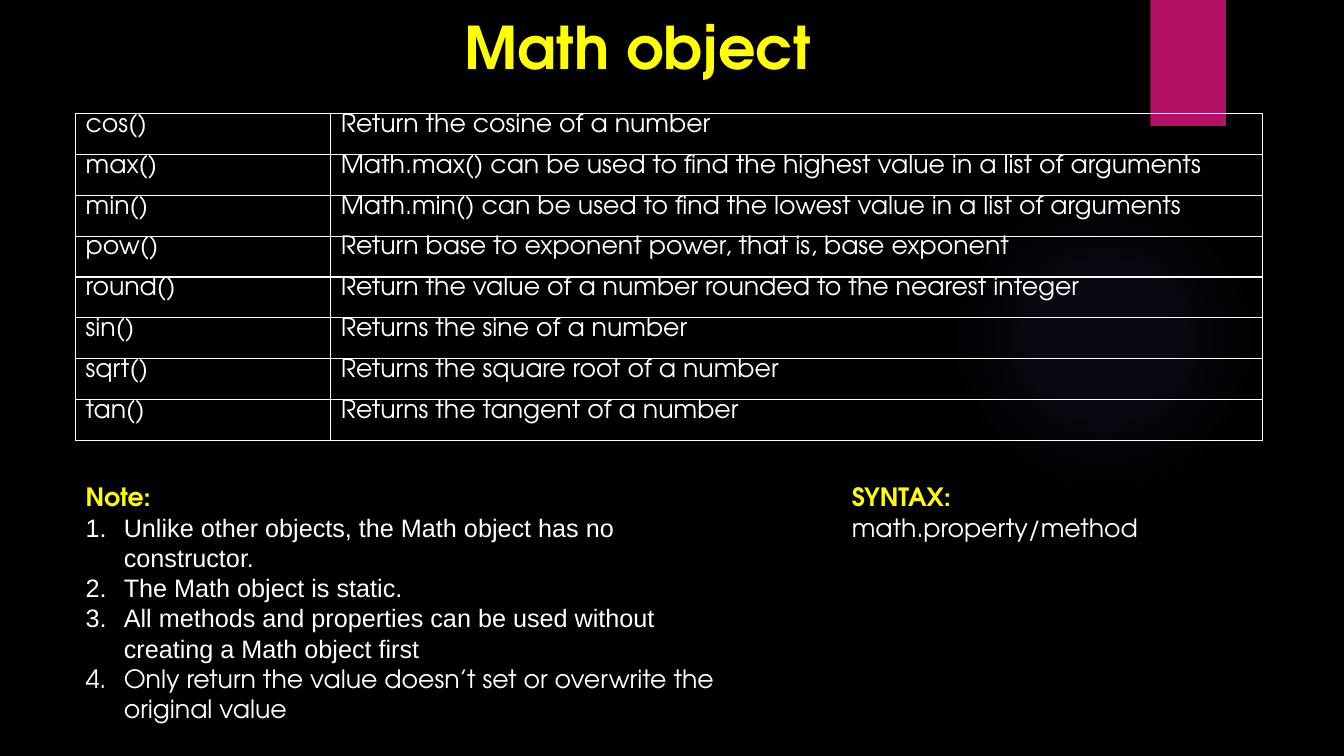
"""Build the slide on the methods of the Math object."""
from pptx import Presentation
from pptx.dml.color import RGBColor
from pptx.enum.shapes import MSO_SHAPE
from pptx.enum.text import MSO_ANCHOR
from pptx.oxml import parse_xml
from pptx.oxml.ns import qn
from pptx.util import Inches, Pt

OVAL, RECT = MSO_SHAPE.OVAL, MSO_SHAPE.RECTANGLE
TOP, MIDDLE = MSO_ANCHOR.TOP, MSO_ANCHOR.MIDDLE
NS = 'xmlns:a="http://schemas.openxmlformats.org/drawingml/2006/main"'
FACE, PLAIN = "TeX Gyre Adventor", "Arial"
COLORS = {"back": "000000", "glow": "9B6BF2", "tab": "B31166",
          "head": "FFFF00", "text": "FFFFFF"}


def style(para, text, color="text", size=18, face=FACE, bold=False):
    para.text = text
    font = para.font
    font.name, font.size, font.bold = face, Pt(size), bold
    font.color.rgb = RGBColor.from_string(COLORS[color])


def add_box(left, top, width, height, anchor=TOP):
    box = slide.shapes.add_textbox(Inches(left), Inches(top), Inches(width), Inches(height))
    box.text_frame.word_wrap = True
    box.text_frame.vertical_anchor = anchor
    return box.text_frame


prs = Presentation()
prs.slide_width, prs.slide_height = Inches(13.33), Inches(7.5)
slide = prs.slides.add_slide(prs.slide_layouts[6])
slide.background.fill.solid()
slide.background.fill.fore_color.rgb = RGBColor.from_string(COLORS["back"])

glow = slide.shapes.add_shape(OVAL, Inches(9.41), Inches(1.83), Inches(3.08), Inches(3.08))
glow.shadow.inherit = False
glow.line.fill.background()
glow.fill.gradient()
stops = "".join(
    f'<a:gs pos="{pos}000"><a:srgbClr val="{COLORS["glow"]}"><a:alpha val="{alpha}000"/></a:srgbClr></a:gs>'
    for pos, alpha in [(0, 7), (36, 6), (69, 0)])
props = glow._element.spPr
props.replace(props.find(qn("a:gradFill")), parse_xml(
    f'<a:gradFill {NS}><a:gsLst>{stops}</a:gsLst><a:path path="circle">'
    '<a:fillToRect l="50000" t="50000" r="50000" b="50000"/></a:path></a:gradFill>'))

tab = slide.shapes.add_shape(RECT, Inches(11.41), Inches(0), Inches(0.75), Inches(1.25))
tab.shadow.inherit = False
tab.line.fill.background()
tab.fill.solid()
tab.fill.fore_color.rgb = RGBColor.from_string(COLORS["tab"])

title = add_box(4.51, 0, 4.17, 0.91, MIDDLE)
style(title.paragraphs[0], "Math object", "head", 42, bold=True)

METHODS = [
    ("cos()", "Return the cosine of a number"),
    ("max()", "Math.max() can be used to find the highest value in a list of arguments"),
    ("min()", "Math.min() can be used to find the lowest value in a list of arguments"),
    ("pow()", "Return base to exponent power, that is, base exponent"),
    ("round()", "Return the value of a number rounded to the nearest integer"),
    ("sin()", "Returns the sine of a number"),
    ("sqrt()", "Returns the square root of a number"),
    ("tan()", "Returns the tangent of a number"),
]
table = slide.shapes.add_table(len(METHODS), 2, Inches(0.75), Inches(1.13),
                               Inches(11.77), Inches(3.24)).table
table.first_row = table.horz_banding = False
for col, width in zip(table.columns, (2.53, 9.24)):
    col.width = Inches(width)
for row, texts in enumerate(METHODS):
    for col, text in enumerate(texts):
        cell = table.cell(row, col)
        cell.margin_top = cell.margin_bottom = 0
        style(cell.text_frame.paragraphs[0], text)
        for side in ("lnL", "lnR", "lnT", "lnB"):
            cell._tc.get_or_add_tcPr().append(parse_xml(
                f'<a:{side} {NS} w="12700"><a:solidFill><a:srgbClr val="{COLORS["text"]}"/>'
                f'</a:solidFill></a:{side}>'))
        cell.fill.background()

NOTES = [
    ("Unlike other objects, the Math object has no constructor.", PLAIN),
    ("The Math object is static.", PLAIN),
    ("All methods and properties can be used without creating a Math object first", PLAIN),
    ("Only return the value doesn’t set or overwrite the original value", FACE),
]
note = add_box(0.75, 4.73, 6.77, 2.52)
style(note.paragraphs[0], "Note:", "head", bold=True)
for text, face in NOTES:
    para = note.add_paragraph()
    style(para, text, face=face)
    props = para._p.get_or_add_pPr()
    props.set("marL", str(Inches(0.38)))
    props.set("indent", str(-Inches(0.38)))
    mark = parse_xml(f'<a:buFont {NS} typeface="{PLAIN}"/>')
    props.insert(0, mark)
    mark.addnext(parse_xml(f'<a:buAutoNum {NS} type="arabicPeriod"/>'))

syntax = add_box(8.35, 4.73, 3.1, 0.71)
style(syntax.paragraphs[0], "SYNTAX:", "head", bold=True)
style(syntax.add_paragraph(), "math.property/method")

prs.save("out.pptx")
